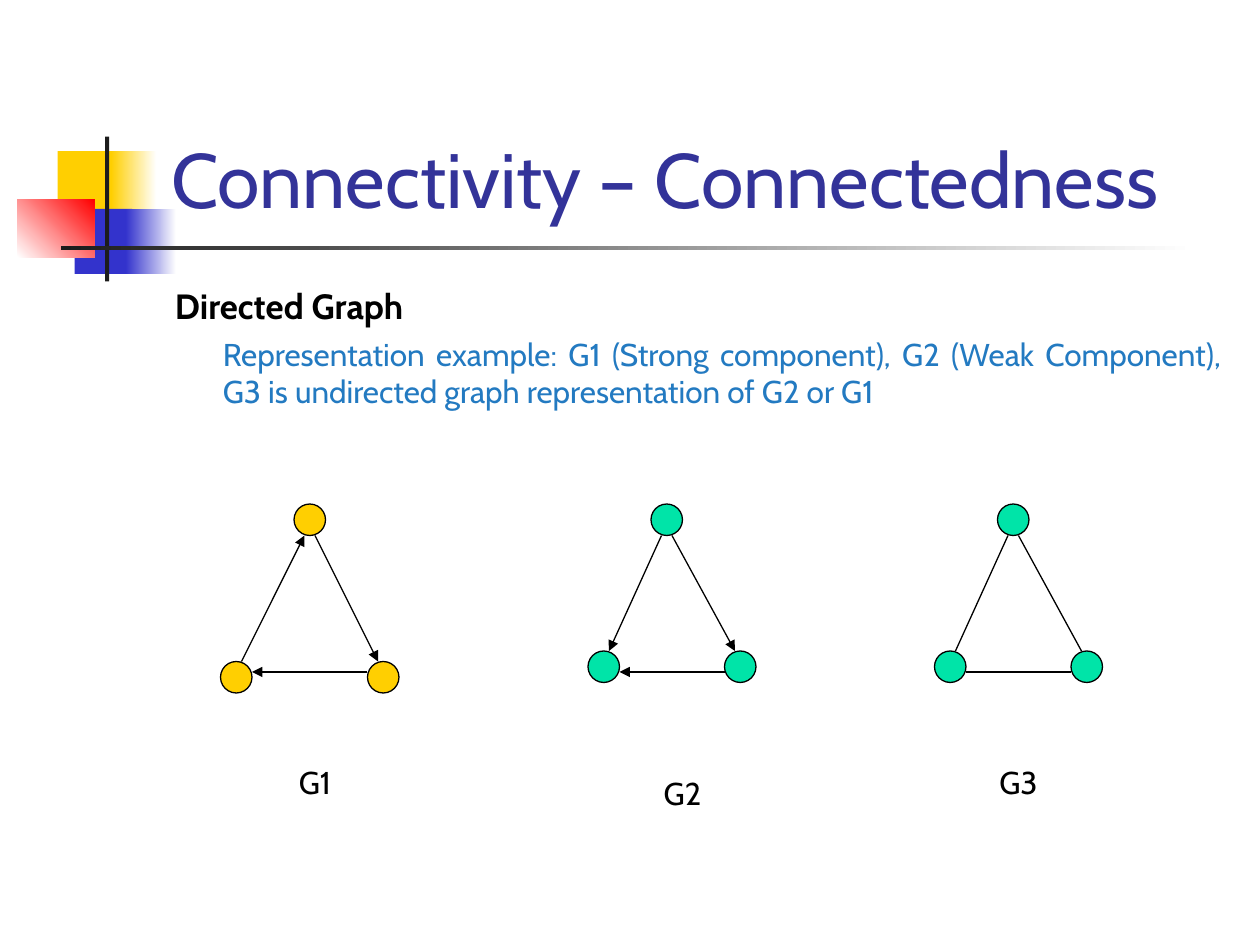
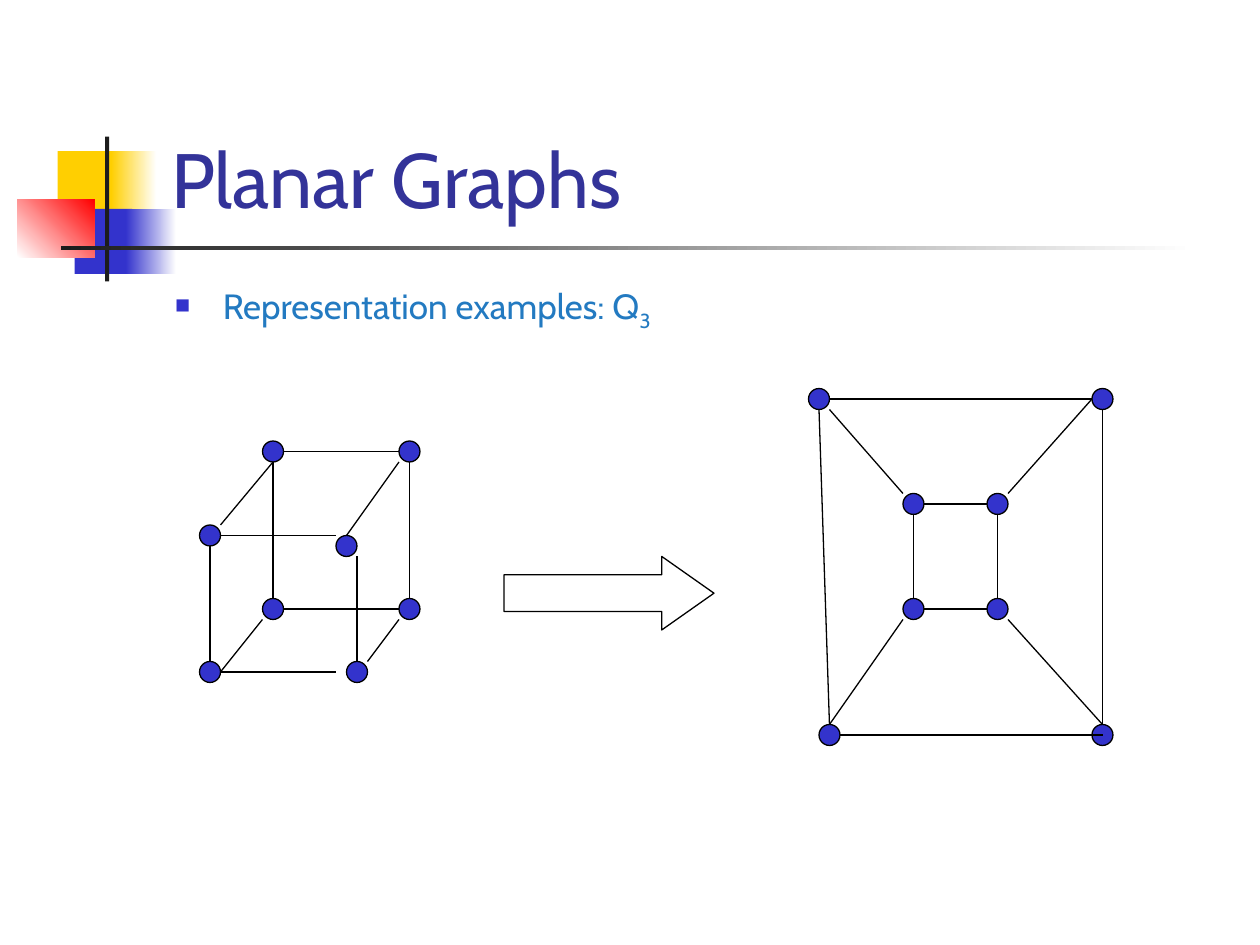
"""Build two slides on graph connectivity and planar graphs."""
from dataclasses import dataclass

from lxml import etree
from pptx import Presentation
from pptx.dml.color import RGBColor
from pptx.enum.shapes import MSO_CONNECTOR, MSO_SHAPE
from pptx.enum.text import MSO_ANCHOR, PP_ALIGN
from pptx.oxml.ns import qn
from pptx.util import Inches, Pt

RECTANGLE = MSO_SHAPE.RECTANGLE
OVAL = MSO_SHAPE.OVAL
RIGHT_ARROW = MSO_SHAPE.RIGHT_ARROW
STRAIGHT = MSO_CONNECTOR.STRAIGHT
BOTTOM = MSO_ANCHOR.BOTTOM
MIDDLE = MSO_ANCHOR.MIDDLE
CENTER = PP_ALIGN.CENTER
JUSTIFY = PP_ALIGN.JUSTIFY


@dataclass(frozen=True)
class Theme:
    font: str = "Cabin"
    title: str = "333399"
    text: str = "237AC1"
    black: str = "000000"
    white: str = "FFFFFF"
    ink: str = "1C1C1C"
    yellow: str = "FFCF01"
    blue: str = "3333CC"
    red: str = "FF0000"
    green: str = "00E4A8"
    title_size: int = 44
    head_size: int = 20
    body_size: int = 18
    stroke: float = 0.75


theme = Theme()
deck = Presentation()
deck.slide_width, deck.slide_height = Inches(10), Inches(7.5)
CELL = deck.slide_width // 120
INDENT = Inches(0.38)


def draw_shape(page, kind, frame, colors, outline=None):
    shape = page.shapes.add_shape(kind, *(round(CELL * value) for value in frame))
    shape.shadow.inherit = False
    if len(colors) == 1:
        shape.fill.solid()
        shape.fill.fore_color.rgb = RGBColor.from_string(colors[0])
    else:
        shape.fill.gradient()
        shape.fill.gradient_angle = 0
        for stop, color in zip(shape.fill.gradient_stops, colors):
            stop.color.rgb = RGBColor.from_string(color)
    if outline:
        shape.line.color.rgb = RGBColor.from_string(outline)
        shape.line.width = Pt(theme.stroke)
    else:
        shape.line.fill.background()
    return shape


def write_span(para, text, size, color, bold=False):
    span = para.add_run()
    span.text = text
    span.font.name = theme.font
    span.font.size = Pt(size)
    span.font.bold = bold
    span.font.color.rgb = RGBColor.from_string(color)
    return span


ornaments = [
    ((5.5, 14.4, 5.8, 6.2), [theme.yellow]),
    ((10.6, 14.4, 4.3, 6.2), [theme.yellow, theme.white]),
    ((7.1, 19.9, 5.5, 6.2), [theme.blue]),
    ((12, 19.9, 4.8, 6.2), [theme.blue, theme.white]),
    ((1.65, 19, 7.35, 5.5), [theme.white, theme.red]),
    ((10, 13, 0.4, 13.8), [theme.ink]),
    ((5.8, 23.4, 108, 0.4), [theme.ink, theme.white]),
]
pages = []
bodies = []
for title, body_rows in [("Connectivity – Connectedness", 15.5), ("Planar Graphs", 6.5)]:
    page = deck.slides.add_slide(deck.slide_layouts[6])
    pages.append(page)
    for frame, colors in ornaments:
        ornament = draw_shape(page, RECTANGLE, frame, colors)
        if theme.red in colors:
            ornament.fill.gradient_angle = 45
    box = page.shapes.add_textbox(Inches(1.26), Inches(0.23), Inches(8.52), Inches(1.6))
    box.text_frame.word_wrap = True
    box.text_frame.vertical_anchor = BOTTOM
    write_span(box.text_frame.paragraphs[0], title, theme.title_size, theme.title)
    body = page.shapes.add_textbox(Inches(1.29), Inches(2.21), Inches(8.5), round(CELL * body_rows))
    body.text_frame.word_wrap = True
    bodies.append(body.text_frame)
connectivity, planar = pages

write_span(bodies[0].paragraphs[0], "Directed Graph", theme.head_size, theme.black, True)
para = bodies[0].add_paragraph()
para.alignment = JUSTIFY
para.space_before = Pt(4.5)
para._p.get_or_add_pPr().set("marL", str(INDENT))
write_span(
    para,
    "Representation example: G1 (Strong component), G2 (Weak Component), "
    "G3 is undirected graph representation of G2 or G1",
    theme.body_size, theme.text,
)

para = bodies[1].paragraphs[0]
properties = para._p.get_or_add_pPr()
properties.set("marL", str(INDENT))
properties.set("indent", str(-INDENT))
bullet_color = etree.SubElement(properties, qn("a:buClr"))
etree.SubElement(bullet_color, qn("a:srgbClr"), val=theme.blue)
etree.SubElement(properties, qn("a:buSzPct"), val="60000")
etree.SubElement(properties, qn("a:buChar"), char="■")
write_span(para, "Representation examples: Q", theme.head_size, theme.text)
subscript = write_span(para, "3", theme.head_size, theme.text)
subscript._r.get_or_add_rPr().set("baseline", "-25000")

cycle_nodes = [(28, 48), (35, 63), (21, 63)]
cycle_edges = [(30, 51, 36, 63), (35, 64, 24, 64), (23, 63, 29, 51)]
weak_nodes = [(62, 48), (56, 62), (69, 62)]
weak_edges = [(63, 51, 58, 62), (64, 51, 70, 62), (69, 64, 59, 64)]
plain_shift = 33
plain_nodes = [(x + plain_shift, y) for x, y in weak_nodes]
plain_edges = [(x1 + plain_shift, y1, x2 + plain_shift, y2) for x1, y1, x2, y2 in weak_edges]

flat_nodes = [(77, 37), (104, 37), (78, 69), (104, 69), (86, 47), (94, 47), (86, 57), (94, 57)]
flat_edges = [
    (79, 39, 86, 47), (96, 47, 104, 38), (96, 59, 105, 69), (79, 69, 86, 59),
    (88, 48, 94, 48), (88, 58, 94, 58), (87, 49, 87, 57), (95, 49, 95, 57),
    (79, 38, 104, 38), (78, 39, 79, 69), (80, 70, 105, 70), (105, 39, 105, 69),
]
cube_nodes = [(19, 63), (33, 63), (32, 51), (19, 50), (25, 57), (38, 57), (38, 42), (25, 42)]
cube_edges = [
    (27, 43, 38, 43), (27, 58, 38, 58), (26, 44, 26, 57), (39, 44, 39, 57),
    (21, 51, 32, 51), (21, 64, 32, 64), (20, 52, 20, 63), (34, 53, 34, 63),
    (21, 50, 26, 44), (33, 51, 38, 44), (21, 64, 25, 59), (35, 63, 38, 59),
]

graphs = [
    (connectivity, cycle_nodes, 3, theme.yellow, cycle_edges, True),
    (connectivity, weak_nodes, 3, theme.green, weak_edges, True),
    (connectivity, plain_nodes, 3, theme.green, plain_edges, False),
    (planar, flat_nodes, 2, theme.blue, flat_edges, False),
    (planar, cube_nodes, 2, theme.blue, cube_edges, False),
]
for page, nodes, size, color, edges, directed in graphs:
    for x, y in nodes:
        draw_shape(page, OVAL, (x, y, size, size), [color], theme.black)
    for ends in edges:
        edge = page.shapes.add_connector(STRAIGHT, *(CELL * value for value in ends))
        edge.line.color.rgb = RGBColor.from_string(theme.black)
        edge.line.width = Pt(theme.stroke)
        if directed:
            etree.SubElement(edge.line._get_or_add_ln(), qn("a:tailEnd"), type="triangle")
        etree.SubElement(edge._element.spPr, qn("a:effectLst"))

for name, x, y in [("G2", 63, 74), ("G1", 28, 73), ("G3", 95, 73)]:
    label = draw_shape(connectivity, RECTANGLE, (x, y, 4, 3), [theme.white], theme.white)
    label.text_frame.word_wrap = False
    label.text_frame.vertical_anchor = MIDDLE
    para = label.text_frame.paragraphs[0]
    para.alignment = CENTER
    write_span(para, name, theme.body_size, theme.black)

arrow = draw_shape(planar, RIGHT_ARROW, (48, 53, 20, 7), [theme.white], theme.black)
arrow.adjustments[0] = 0.5
arrow.adjustments[1] = 0.71

deck.save("out.pptx")
